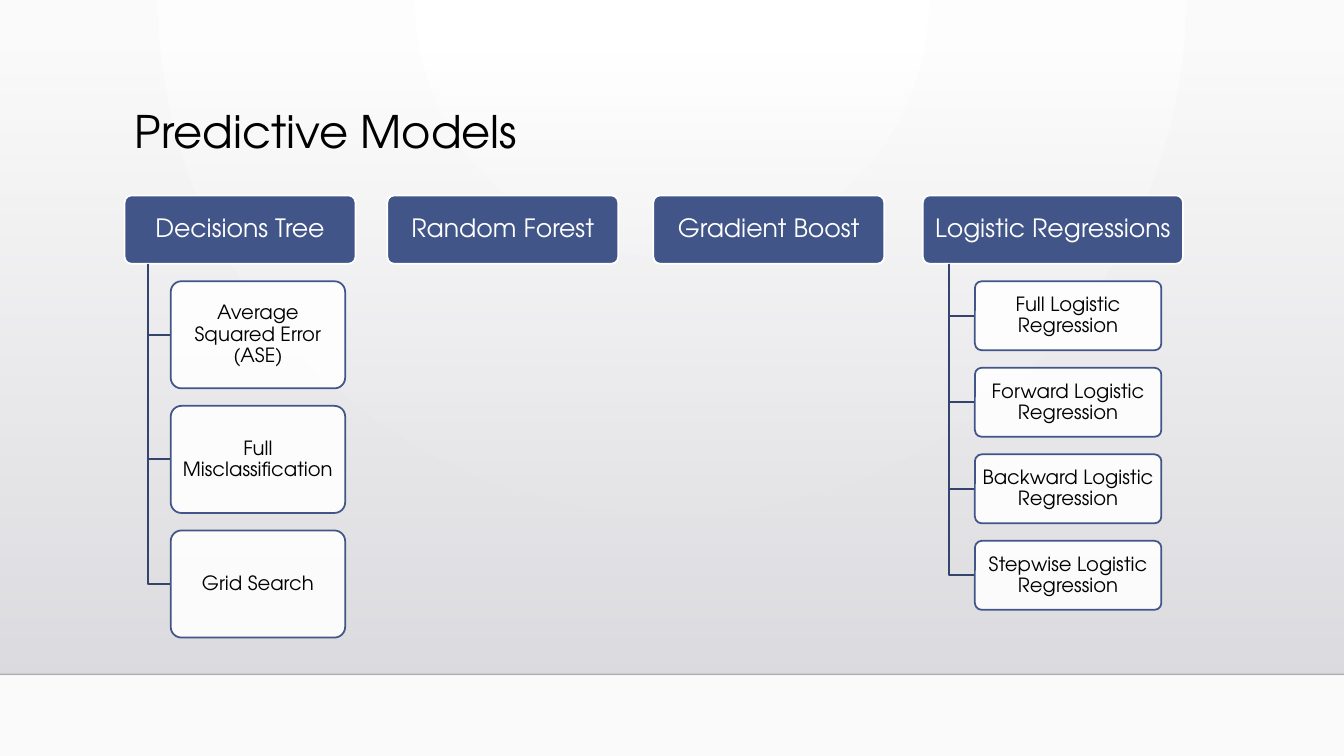
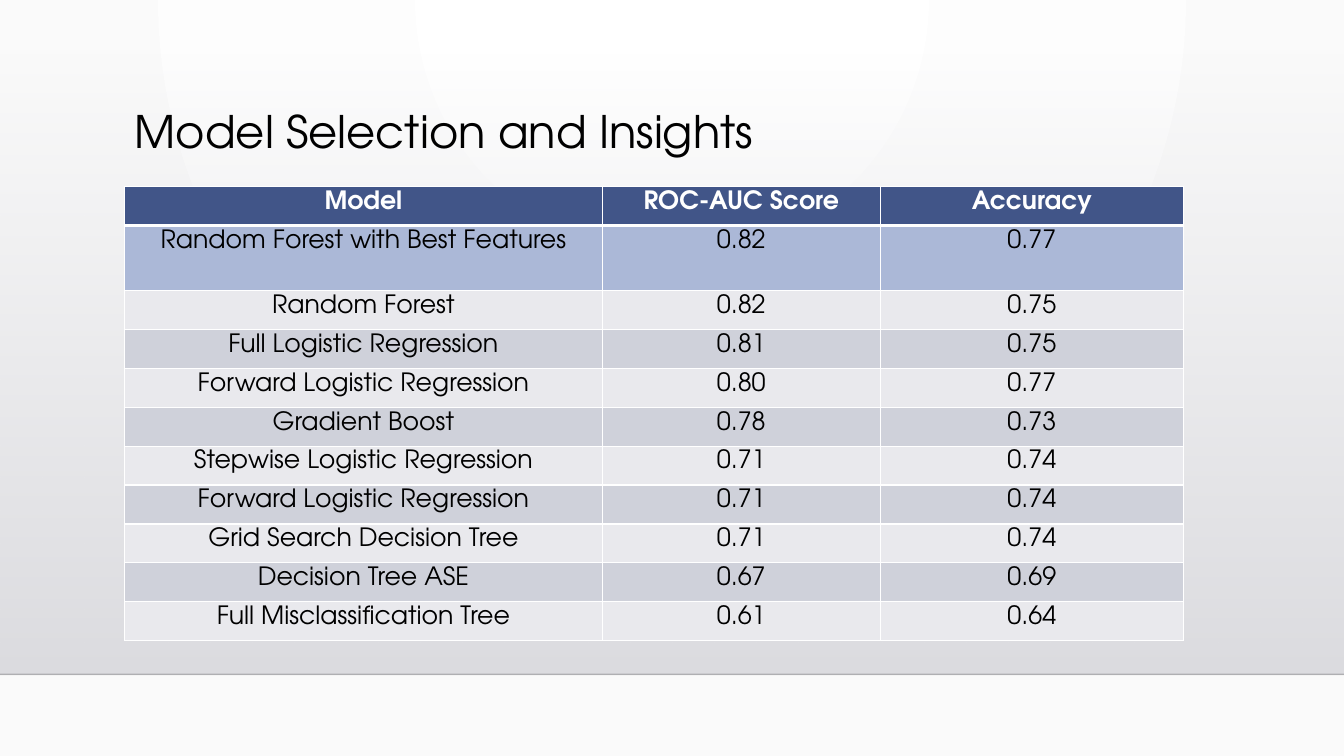
from dataclasses import dataclass
from itertools import product

from pptx import Presentation
from pptx.dml.color import RGBColor
from pptx.enum.shapes import MSO_CONNECTOR, MSO_SHAPE
from pptx.enum.text import MSO_ANCHOR, PP_ALIGN
from pptx.oxml import parse_xml
from pptx.oxml.ns import nsdecls
from pptx.util import Pt


@dataclass(frozen=True)
class Theme:
    font: str = "TeX Gyre Adventor"
    title: float = 32
    head: float = 18
    body: float = 14
    thin: float = 1
    line: float = 1.25
    thick: float = 3
    black: str = "000000"
    white: str = "FFFFFF"
    haze: str = "FAFAFA"
    mist: str = "DCDCE0"
    fog: str = "DEDEE2"
    blue: str = "415588"
    navy: str = "34446D"
    best: str = "ABB8D7"
    light: str = "E9E9ED"
    dark: str = "CFD1DA"


THEME = Theme()
WIDE, HIGH = 960, 540
LEFT = 89
BAND_TOP, BAND_END = 36.7, 481.7
HEAD_TOP, HEAD_HIGH = 139.6, 48.8
GAP = 12.5
INSET = 3.6

TREES = [
    ("Decisions Tree", LEFT, 164.9, 124.6, 76.5,
     ["Average Squared Error (ASE)", "Full Misclassification", "Grid Search"]),
    ("Random Forest", 276.7, 164.9, 0, 0, []),
    ("Gradient Boost", 466.7, 164.9, 0, 0, []),
    ("Logistic Regressions", 659.2, 185.8, 133.2, 49.3,
     ["Full Logistic Regression", "Forward Logistic Regression",
      "Backward Logistic Regression", "Stepwise Logistic Regression"]),
]

COLS = [341.2, 198.6, 216.6]
ROW_HIGH, BEST_HIGH = 27.8, 46.6
ROWS = [
    ("Model", "ROC-AUC Score", "Accuracy"),
    ("Random Forest with Best Features", "0.82", "0.77"),
    ("Random Forest", "0.82", "0.75"),
    ("Full Logistic Regression", "0.81", "0.75"),
    ("Forward Logistic Regression", "0.80", "0.77"),
    ("Gradient Boost", "0.78", "0.73"),
    ("Stepwise Logistic Regression", "0.71", "0.74"),
    ("Forward Logistic Regression", "0.71", "0.74"),
    ("Grid Search Decision Tree", "0.71", "0.74"),
    ("Decision Tree ASE", "0.67", "0.69"),
    ("Full Misclassification Tree", "0.61", "0.64"),
]


def rgb(code):
    return RGBColor.from_string(code)


def write(frame, text, size, color, align=PP_ALIGN.CENTER, space=0.9,
          bold=False):
    para = frame.paragraphs[0]
    para.alignment = align
    para.line_spacing = space
    run = para.add_run()
    run.text = text
    run.font.name = THEME.font
    run.font.size = Pt(size)
    run.font.bold = bold
    run.font.color.rgb = rgb(color)


def fade(node, share):
    for color in node.xpath(".//a:srgbClr"):
        color.append(parse_xml(
            f'<a:alpha {nsdecls("a")} val="{share * 1000}"/>'))


def blend(fill, node, stops, shade):
    fill.gradient()
    old = node.xpath(".//a:gradFill")[0]
    marks = "".join(
        f'<a:gs pos="{place * 1000}"><a:srgbClr val="{color}">'
        f'<a:alpha val="{share * 1000}"/></a:srgbClr></a:gs>'
        for place, color, share in stops)
    new = parse_xml(f'<a:gradFill {nsdecls("a")} rotWithShape="1">'
                    f'<a:gsLst>{marks}</a:gsLst>{shade}</a:gradFill>')
    old.getparent().replace(old, new)


def add_rule(slide, left, right, top):
    rule = slide.shapes.add_connector(
        MSO_CONNECTOR.STRAIGHT, Pt(left), Pt(top), Pt(right), Pt(top))
    rule.line.color.rgb = rgb(THEME.black)
    rule.line.width = Pt(THEME.thin)
    fade(rule._element.spPr, 20)
    rule._element.spPr.append(parse_xml(f'<a:effectLst {nsdecls("a")}/>'))
    return rule


def add_elbow(slide, left, top, right, end):
    pen = slide.shapes.build_freeform(Pt(left), Pt(top))
    pen.add_line_segments([(Pt(left), Pt(end)), (Pt(right), Pt(end))],
                          close=False)
    elbow = pen.convert_to_shape()
    elbow.shadow.inherit = False
    elbow.fill.background()
    elbow.line.color.rgb = rgb(THEME.navy)
    elbow.line.width = Pt(THEME.line)


def add_box(slide, area, text, size, ink, fill, edge):
    box = slide.shapes.add_shape(
        MSO_SHAPE.ROUNDED_RECTANGLE, *[Pt(part) for part in area])
    box.adjustments[0] = 0.1
    box.shadow.inherit = False
    box.fill.solid()
    box.fill.fore_color.rgb = rgb(fill)
    box.line.color.rgb = rgb(edge)
    box.line.width = Pt(THEME.line)
    frame = box.text_frame
    frame.word_wrap = True
    frame.vertical_anchor = MSO_ANCHOR.MIDDLE
    frame.margin_left = frame.margin_right = Pt(INSET)
    frame.margin_top = frame.margin_bottom = Pt(INSET)
    write(frame, text, size, ink)
    return box


def add_tree(slide, head, left, width, wide, high, leaves):
    add_box(slide, (left, HEAD_TOP, width, HEAD_HIGH), head, THEME.head,
            THEME.white, THEME.blue, THEME.white)
    base = HEAD_TOP + HEAD_HIGH
    stem, edge = left + width * 0.1, left + width * 0.2
    for order, text in enumerate(leaves):
        top = base + GAP + order * (high + GAP)
        add_elbow(slide, stem, base, edge, top + high / 2)
        leaf = add_box(slide, (edge, top, wide, high), text, THEME.body,
                       THEME.black, THEME.white, THEME.blue)
        fade(leaf._element.spPr.xpath("./a:solidFill")[0], 90)


def rule_cell(cell, above, below):
    props = cell._tc.get_or_add_tcPr()
    sides = {"L": THEME.thin, "R": THEME.thin, "T": above, "B": below}
    for side, width in sides.items():
        props.append(parse_xml(
            f'<a:ln{side} {nsdecls("a")} w="{Pt(width)}"><a:solidFill>'
            f'<a:srgbClr val="{THEME.white}"/></a:solidFill></a:ln{side}>'))


def row_fill(row):
    if row < 2:
        return (THEME.blue, THEME.best)[row]
    return (THEME.light, THEME.dark)[row % 2]


def add_grid(slide, left, top):
    highs = [BEST_HIGH if row == 1 else ROW_HIGH for row in range(len(ROWS))]
    grid = slide.shapes.add_table(
        len(ROWS), len(COLS), Pt(left), Pt(top), Pt(sum(COLS)),
        Pt(sum(highs))).table
    grid.horz_banding = False
    for col, width in zip(grid.columns, COLS):
        col.width = Pt(width)
    for row, high in zip(grid.rows, highs):
        row.height = Pt(high)
    for row, col in product(range(len(ROWS)), range(len(COLS))):
        cell = grid.cell(row, col)
        head = row == 0
        rule_cell(cell, THEME.thick if row == 1 else THEME.thin,
                  THEME.thick if head else THEME.thin)
        cell.fill.solid()
        cell.fill.fore_color.rgb = rgb(row_fill(row))
        cell.margin_top, cell.margin_bottom = Pt(3), Pt(0)
        write(cell.text_frame, ROWS[row][col], THEME.head,
              THEME.white if head else THEME.black, space=1, bold=head)


def set_base(deck, layout, slide):
    master = deck.slide_master
    blend(master.background.fill, master._element.cSld.bg,
          [(0, THEME.white, 100), (100, THEME.haze, 100)],
          '<a:path path="circle"><a:fillToRect l="43000" r="43000" '
          'b="100000"/></a:path>')
    band = slide.shapes.add_shape(
        MSO_SHAPE.RECTANGLE, Pt(0), Pt(BAND_TOP), Pt(WIDE),
        Pt(BAND_END - BAND_TOP))
    band.shadow.inherit = False
    band.line.fill.background()
    blend(band.fill, band._element.spPr,
          [(0, THEME.mist, 0), (100, THEME.fog, 100)],
          '<a:lin ang="5400000" scaled="0"/>')
    rule = add_rule(slide, 0, WIDE, BAND_END)
    for order, shape in enumerate((band, rule)):
        node = shape._element
        node.xpath(".//p:cNvPr")[0].set("id", str(100 + order))
        layout._element.cSld.spTree.insert(2 + order, node)
    title = layout.placeholders[0]
    title.left, title.top = Pt(LEFT), Pt(74.9)
    title.width, title.height = Pt(756), Pt(82.8)
    title.text_frame.vertical_anchor = MSO_ANCHOR.TOP


def add_page(deck, layout, text):
    slide = deck.slides.add_slide(layout)
    write(slide.shapes.title.text_frame, text, THEME.title, THEME.black,
          align=PP_ALIGN.LEFT)
    return slide


def main():
    deck = Presentation()
    deck.slide_width, deck.slide_height = Pt(WIDE), Pt(HIGH)
    layout = deck.slide_layouts[5]
    models = add_page(deck, layout, "Predictive Models")
    set_base(deck, layout, models)
    for tree in TREES:
        add_tree(models, *tree)
    scores = add_page(deck, layout, "Model Selection and Insights")
    add_grid(scores, LEFT, 133.2)
    deck.save("out.pptx")


if __name__ == "__main__":
    main()
